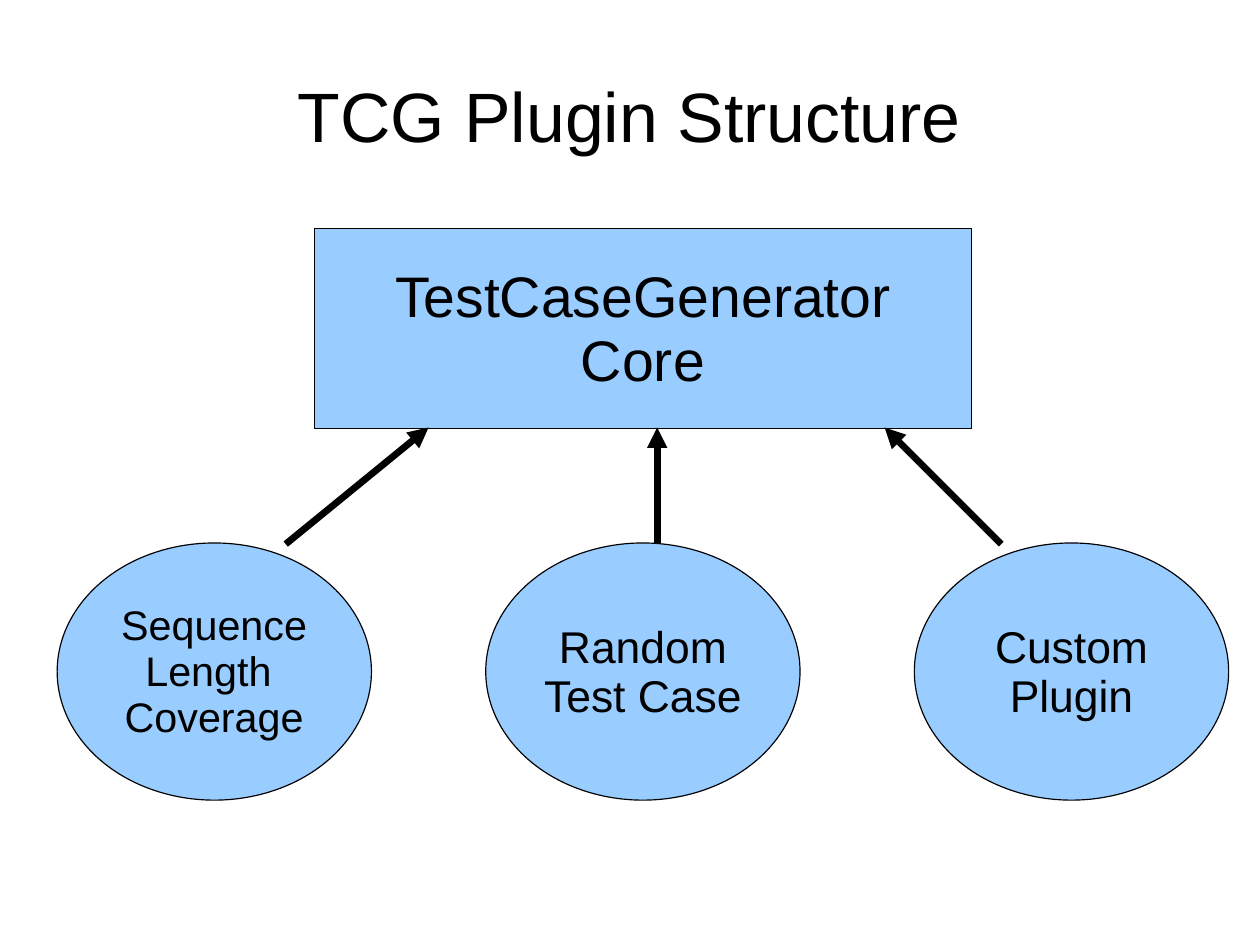
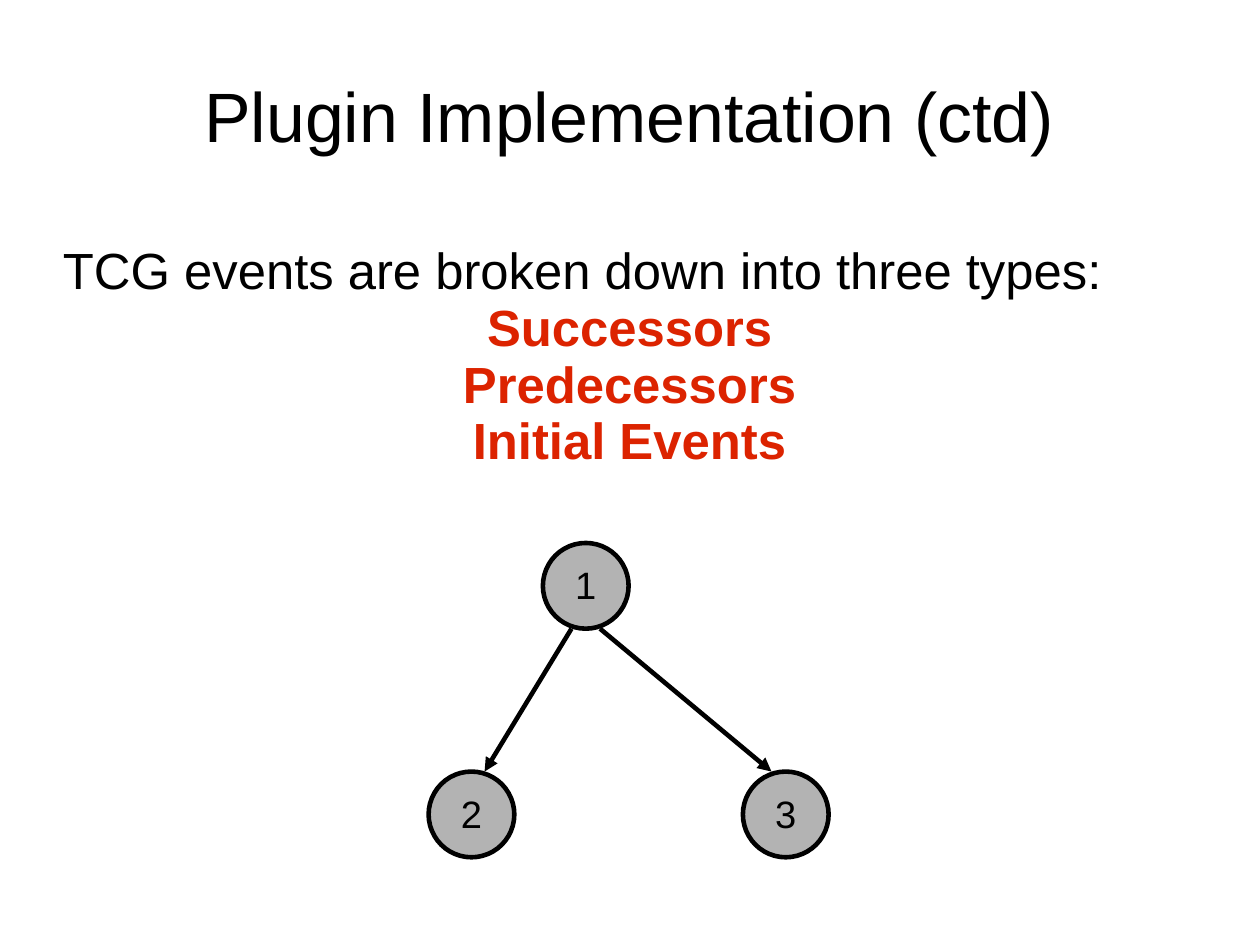
from lxml import etree
from pptx import Presentation
from pptx import util as u
from pptx.dml.color import RGBColor
from pptx.enum import shapes, text
from pptx.oxml import ns

BLACK = RGBColor(0x00, 0x00, 0x00)
BLUE = RGBColor(0x99, 0xCC, 0xFF)
GREY = RGBColor(0xB3, 0xB3, 0xB3)
RED = RGBColor(0xDC, 0x23, 0x00)

RECT = shapes.MSO_SHAPE.RECTANGLE
OVAL = shapes.MSO_SHAPE.OVAL
LEFT = text.PP_ALIGN.LEFT
MID = text.PP_ALIGN.CENTER

WIDE, HIGH = u.Pt(793.75), u.Pt(595.25)
HEAD = (0.55, 0.38, 9.92, 1.28)
BODY = (0.55, 1.98, 9.92, 2.27)
THIN, BOLD, HEAVY = 0.75, 2.89, 4.31


def apply(item, vals):
    for name, val in vals.items():
        setattr(item, name, val)


def inch(*nums):
    return [u.Inches(num) for num in nums]


def write(shape, lines, size, side=0, top=0.04, base=0):
    frame = shape.text_frame
    left, high, low = inch(side, top, base)
    apply(frame, {
        "word_wrap": True,
        "vertical_anchor": text.MSO_ANCHOR.MIDDLE,
        "margin_left": left,
        "margin_right": left,
        "margin_top": high,
        "margin_bottom": low,
    })
    for num, (words, look) in enumerate(lines):
        para = frame.paragraphs[0] if num == 0 else frame.add_paragraph()
        para.text = words
        apply(para, {"alignment": look.get("align", MID), "line_spacing": 0.93})
        apply(para.font, {
            "name": "Arial",
            "size": u.Pt(size),
            "bold": look.get("bold", False),
        })
        para.font.color.rgb = look.get("color", BLACK)


def plain(*words):
    return [(word, {}) for word in words]


def label(slide, box, lines, size, top):
    write(slide.shapes.add_textbox(*inch(*box)), lines, size, top=top)


def node(slide, kind, box, words, size, fill, width, side=0.05, top=0.08):
    shape = slide.shapes.add_shape(kind, *inch(*box))
    shape.shadow.inherit = False
    shape.fill.solid()
    shape.fill.fore_color.rgb = fill
    shape.line.color.rgb = BLACK
    shape.line.width = u.Pt(width)
    write(shape, plain(*words), size, side, top, 0.05)


def arrow(slide, start, end, width):
    line = slide.shapes.add_connector(
        shapes.MSO_CONNECTOR.STRAIGHT, *inch(*start, *end))
    line.line.color.rgb = BLACK
    line.line.width = u.Pt(width)
    tip = etree.SubElement(line.line._get_or_add_ln(), ns.qn("a:tailEnd"))
    tip.set("type", "triangle")
    etree.SubElement(line._element.spPr, ns.qn("a:effectLst"))


def start(deck, title):
    slide = deck.slides.add_slide(deck.slide_layouts[6])
    label(slide, HEAD, plain(title), 44, 0.04)
    return slide


def plugins(slide, box):
    left, top, width, height = box
    core = (left + 2.25, top, 5.75, 1.75)
    node(slide, RECT, core, ["TestCaseGenerator Core"], 36, BLUE, THIN, 0.12)
    wide, high = 2.75, 2.25
    step = (width - wide) / 2
    row = top + height - high
    parts = [
        (["Sequence", "Length ", "Coverage"], 26, 0.07),
        (["Random", "Test Case"], 28, 0.08),
        (["Custom", "Plugin"], 28, 0.08),
    ]
    for num, (words, size, pad) in enumerate(parts):
        spot = (left + num * step, row, wide, high)
        node(slide, OVAL, spot, words, size, BLUE, THIN, top=pad)
    for tail, tip in [(2, 3.25), (5.25, 5.25), (8.26, 7.24)]:
        arrow(slide, (left + tail, row + 0.01),
              (left + tip, top + 1.74), HEAVY)


def tree(slide, box):
    left, top, width, height = box
    size = 0.75
    low = top + height - size
    spots = [(left + 1, top), (left, low), (left + width - size, low)]
    for num, spot in enumerate(spots, 1):
        node(slide, OVAL, (*spot, size, size), [str(num)], 24, GREY, BOLD,
             top=0.07)
    for tail, tip in [(1.25, 0.49), (1.5, 3)]:
        arrow(slide, (left + tail, top + size), (left + tip, low), BOLD)


def main():
    deck = Presentation()
    deck.slide_width = WIDE
    deck.slide_height = HIGH

    plugins(start(deck, "TCG Plugin Structure"), (0.5, 2, 10.25, 5))

    slide = start(deck, "Plugin Implementation (ctd)")
    lines = [("TCG events are broken down into three types:", {"align": LEFT})]
    for word in ["Successors", "Predecessors", "Initial Events"]:
        lines.append((word, {"bold": True, "color": RED}))
    label(slide, BODY, lines, 32, 0.03)
    tree(slide, (3.75, 4.75, 3.5, 2.75))

    deck.save("out.pptx")


if __name__ == "__main__":
    main()
